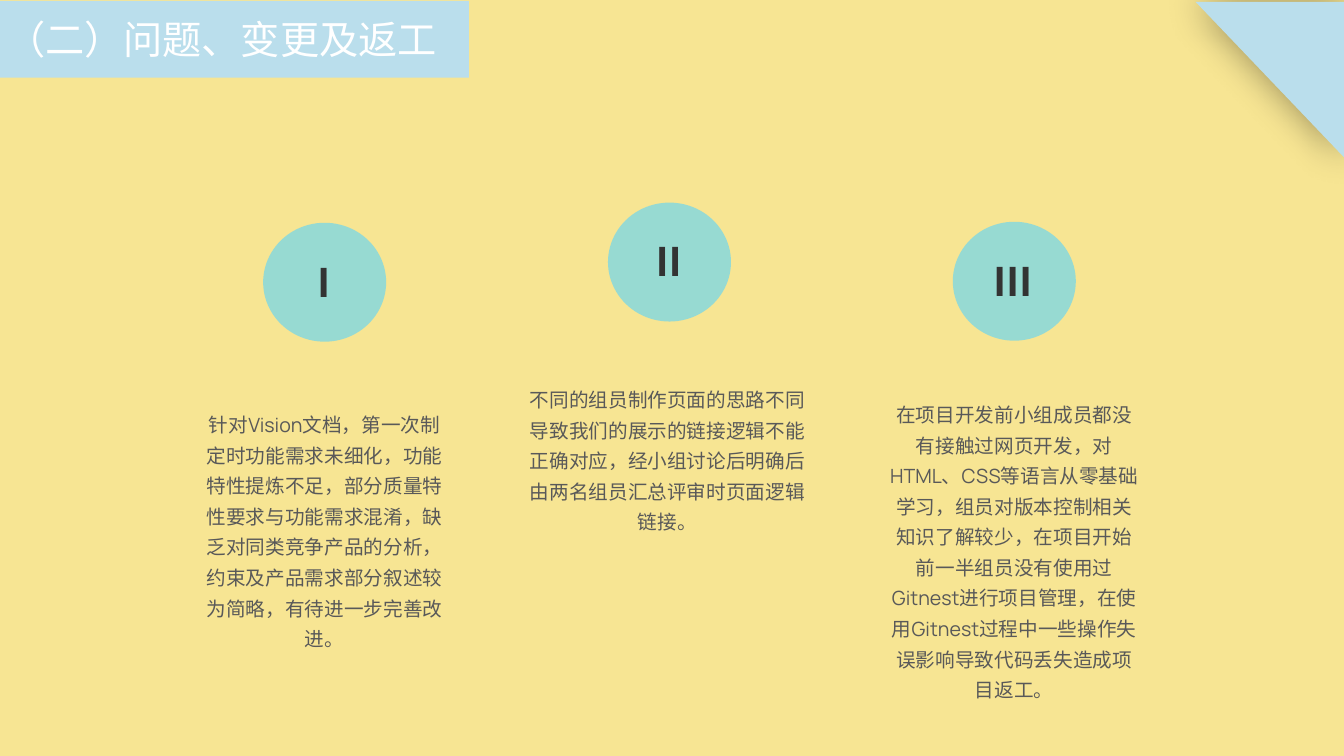
from lxml.etree import SubElement as Sub
from pptx import Presentation
from pptx.dml.color import RGBColor
from pptx.enum.shapes import MSO_SHAPE as Shape
from pptx.enum.text import MSO_ANCHOR as Anchor, MSO_AUTO_SIZE as Fit, PP_ALIGN as Align
from pptx.oxml.ns import qn
from pptx.util import Inches, Pt

SAND = RGBColor(0xF7, 0xE5, 0x93)
SKY = RGBColor(0xBA, 0xDE, 0xEC)
TEAL = RGBColor(0x7E, 0xD8, 0xE4)
WHITE = RGBColor(0xFF, 0xFF, 0xFF)
DARK = RGBColor(0x33, 0x33, 0x33)
GRAY = RGBColor(0x59, 0x59, 0x59)
HEAD = "Noto Sans CJK SC"
BODY = "Manrope"


def paint(shape, color):
    shape.shadow.inherit = False
    shape.fill.solid()
    shape.fill.fore_color.rgb = color
    shape.line.fill.background()


def write(shape, text, face, size, color, bold=False):
    para = shape.text_frame.paragraphs[0]
    para.text = text
    for run in para.runs:
        font = run.font
        font.name, font.size, font.bold = face, Pt(size), bold
        font.color.rgb = color
        Sub(font._element, qn("a:ea")).set("typeface", face)
    return para


deck = Presentation()
deck.slide_width, deck.slide_height = Inches(13.33), Inches(7.5)
slide = deck.slides.add_slide(deck.slide_layouts[5])
slide.background.fill.solid()
slide.background.fill.fore_color.rgb = SAND
shapes = slide.shapes

title = shapes.title
title.left, title.top = 0, Inches(0.01)
title.width, title.height = Inches(4.65), Inches(0.76)
title.fill.solid()
title.fill.fore_color.rgb = SKY
frame = title.text_frame
frame.auto_size = Fit.NONE
frame.vertical_anchor = Anchor.MIDDLE
frame.margin_left, frame.margin_right = Inches(0.06), 0
write(title, "（二）问题、变更及返工", HEAD, 28, WHITE).alignment = Align.LEFT

wide, top = deck.slide_width, Inches(0.02)
pen = shapes.build_freeform(wide - Inches(1.47), top)
pen.add_line_segments([(wide, top), (wide, Inches(1.56))])
fold = pen.convert_to_shape()
paint(fold, SKY)
glow = Sub(fold._element.spPr.find(qn("a:effectLst")), qn("a:outerShdw"),
           blurRad=str(Pt(28)), dist="0", dir="0", algn="ctr", rotWithShape="0")
black = Sub(glow, qn("a:srgbClr"), val="000000")
Sub(black, qn("a:alpha"), val="40000")

STEP = 3.42
items = [
    ("Ⅰ", 2.21, 1.89, 3.98, 2.66, 2.85,
     "针对Vision文档，第一次制定时功能需求未细化，功能特性提炼不足，部分质量特性要求与功能需求混淆，"
     "缺乏对同类竞争产品的分析，约束及产品需求部分叙述较为简略，有待进一步完善改进。"),
    ("Ⅱ", 2.01, 5.06, 3.73, 3.12, 1.63,
     "不同的组员制作页面的思路不同导致我们的展示的链接逻辑不能正确对应，"
     "经小组讨论后明确后由两名组员汇总评审时页面逻辑链接。"),
    ("Ⅲ", 2.2, 8.73, 3.88, 2.66, 3.16,
     "在项目开发前小组成员都没有接触过网页开发，对HTML、CSS等语言从零基础学习，"
     "组员对版本控制相关知识了解较少，在项目开始前一半组员没有使用过Gitnest进行项目管理，"
     "在使用Gitnest过程中一些操作失误影响导致代码丢失造成项目返工。"),
]
for col, (mark, high, *area, text) in enumerate(items):
    left = 2.61 + col * STEP
    disc = shapes.add_shape(Shape.OVAL, Inches(left), Inches(high), Inches(1.22), Inches(1.18))
    paint(disc, TEAL)
    tint = disc._element.spPr.find(qn("a:solidFill"))[0]
    Sub(tint, qn("a:alpha"), val="79000")

    label = shapes.add_textbox(Inches(left + 0.31), Inches(high + 0.3), Inches(0.83), Inches(0.57))
    label.text_frame.word_wrap = True
    write(label, mark, HEAD, 28, DARK, True)

    note = shapes.add_textbox(*map(Inches, area))
    note.text_frame.word_wrap = True
    note.text_frame.auto_size = Fit.SHAPE_TO_FIT_TEXT
    para = write(note, text, BODY, 14, GRAY)
    para.alignment, para.line_spacing = Align.CENTER, 1.3

deck.save("out.pptx")
